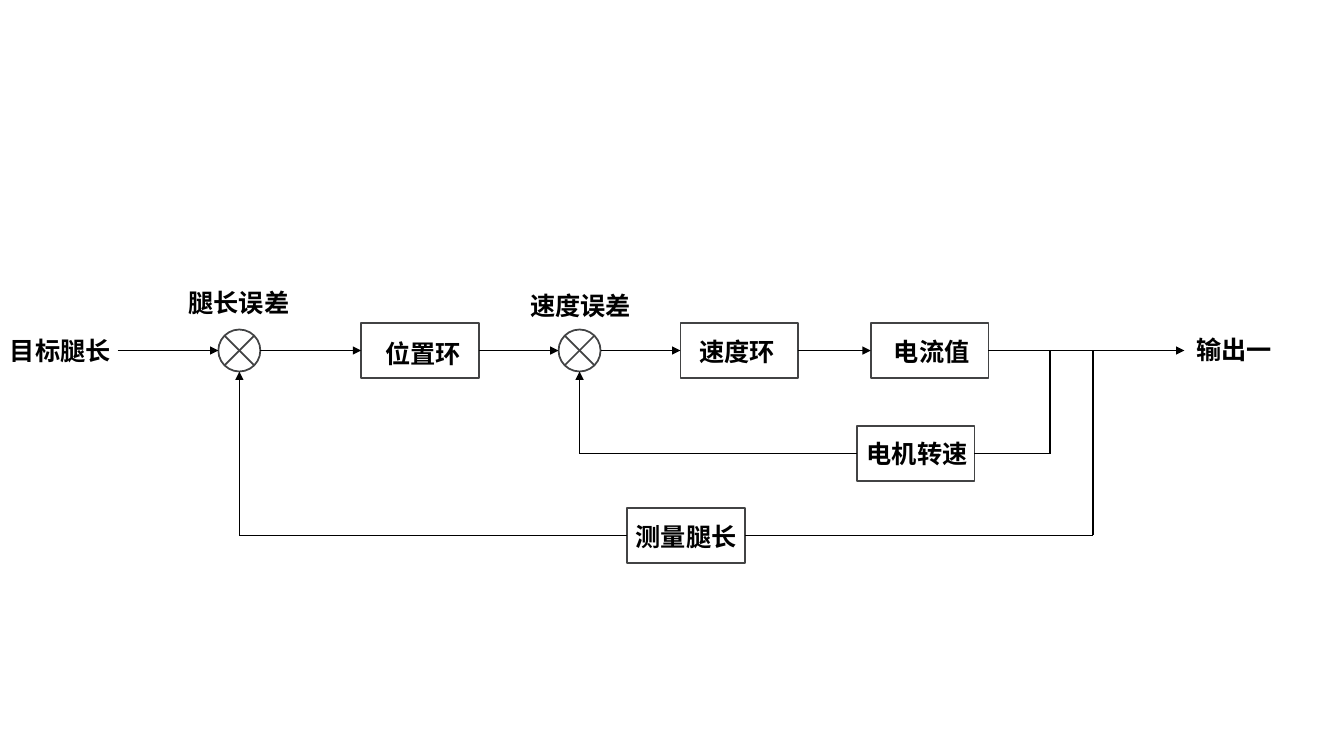
from itertools import pairwise

from lxml.etree import SubElement
from pptx import Presentation
from pptx.dml.color import RGBColor
from pptx.enum.shapes import MSO_CONNECTOR, MSO_SHAPE
from pptx.enum.text import MSO_AUTO_SIZE
from pptx.oxml.ns import qn
from pptx.util import Pt

BLACK = RGBColor(0x00, 0x00, 0x00)
GREY = RGBColor(0x42, 0x43, 0x44)
FONT = "Calibri"
STROKE = 1.25

# Shared sizes and levels, in points
BOX_W, BOX_H = 84, 39
RING = 30
MAIN_Y, SPEED_Y, LEG_Y = 250.4, 324, 382.5
LEG_X, SPEED_X = 171, 414
SPEED_TAP, LEG_TAP = 750, 780.5


def add_node(slide, kind, left, mid, width, height):
    node = slide.shapes.add_shape(
        kind, Pt(left), Pt(mid - height / 2), Pt(width), Pt(height))
    node.shadow.inherit = False
    node.fill.background()
    node.line.color.rgb = GREY
    node.line.width = Pt(STROKE)


def add_box(slide, left, mid):
    add_node(slide, MSO_SHAPE.FLOWCHART_PROCESS, left, mid, BOX_W, BOX_H)


def add_ring(slide, center):
    add_node(slide, MSO_SHAPE.FLOWCHART_SUMMING_JUNCTION,
             center - RING / 2, MAIN_Y, RING, RING)


def add_label(slide, text, left, top, width):
    label = slide.shapes.add_textbox(Pt(left), Pt(top), Pt(width), Pt(29))
    frame = label.text_frame
    frame.word_wrap = False
    frame.auto_size = MSO_AUTO_SIZE.SHAPE_TO_FIT_TEXT
    frame.text = text
    font = frame.paragraphs[0].runs[0].font
    font.name = FONT
    font.size = Pt(18)
    font.bold = True
    font.color.rgb = BLACK


def add_route(slide, points, arrow=True):
    """Join the points with straight lines; the arrow ends the last one."""
    for (x1, y1), (x2, y2) in pairwise(points):
        wire = slide.shapes.add_connector(
            MSO_CONNECTOR.STRAIGHT, Pt(x1), Pt(y1), Pt(x2), Pt(y2))
        wire.line.color.rgb = BLACK
        wire.line.width = Pt(STROKE)
        props = wire.line._get_or_add_ln()
        SubElement(props.getparent(), qn("a:effectLst"))
        if arrow and (x2, y2) == points[-1]:
            SubElement(props, qn("a:tailEnd"), type="triangle")


def add_loop(slide, tap, level, box, ring):
    """Feed the output back through a box to a summing ring."""
    add_box(slide, box, level)
    add_route(slide, [(tap, MAIN_Y), (tap, level), (box + BOX_W, level)],
              arrow=False)
    add_route(slide, [(box, level), (ring, level),
                      (ring, MAIN_Y + RING / 2)])


def main():
    deck = Presentation()
    deck.slide_width, deck.slide_height = Pt(960), Pt(540)
    slide = deck.slides.add_slide(deck.slide_layouts[6])

    # Main chain
    for center in (LEG_X, SPEED_X):
        add_ring(slide, center)
    for left in (258, 486, 622):
        add_box(slide, left, MAIN_Y)
    for start, end in ((84, 156), (186, 258), (342, 399),
                       (429, 486), (570, 622), (706, 846)):
        add_route(slide, [(start, MAIN_Y), (end, MAIN_Y)])

    # Feedback loops
    add_loop(slide, SPEED_TAP, SPEED_Y, 612, SPEED_X)
    add_loop(slide, LEG_TAP, LEG_Y, 448, LEG_X)

    # Labels
    for text, left, top, width in (
            ("目标腿长", 0, 236, 87),
            ("腿长误差", 127.5, 201.5, 87),
            ("位置环", 268, 238, 69),
            ("速度误差", 371.5, 204, 87),
            ("速度环", 492.5, 236.5, 69),
            ("电流值", 631.5, 236.5, 69),
            ("输出一", 847.5, 235.5, 69),
            ("电机转速", 612, 309.5, 87),
            ("测量腿长", 447, 369, 87)):
        add_label(slide, text, left, top, width)

    deck.save("out.pptx")


if __name__ == "__main__":
    main()
